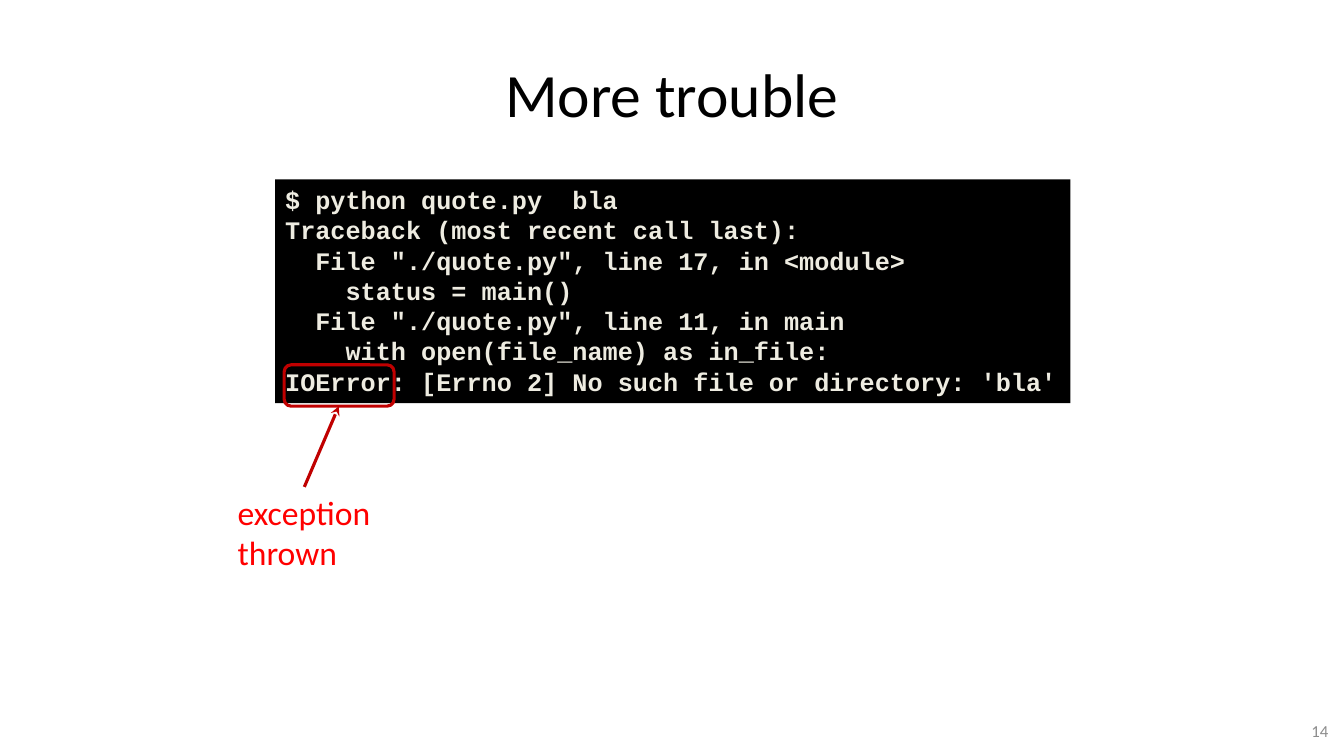
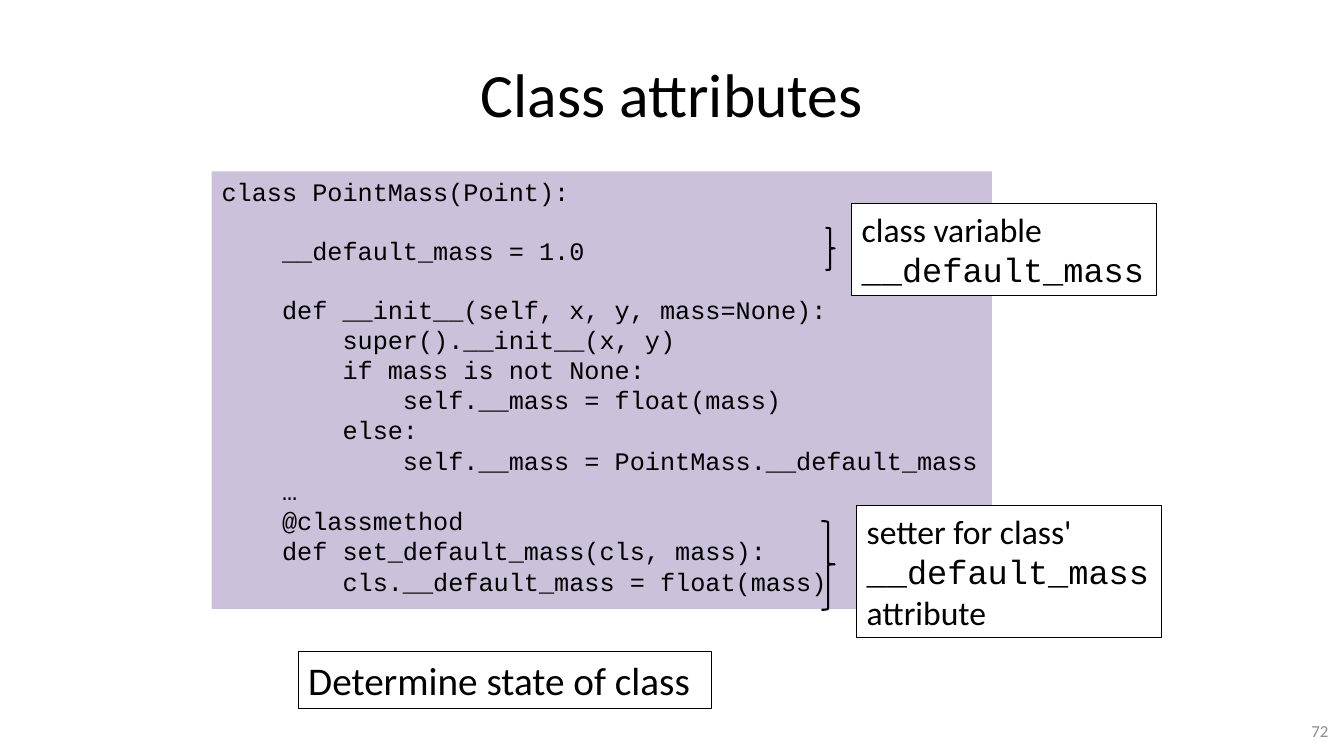
from pptx import Presentation
from pptx.dml.color import RGBColor
from pptx.enum.shapes import MSO_CONNECTOR, MSO_SHAPE as Preset
from pptx.enum.text import MSO_ANCHOR as Anchor, PP_ALIGN as Align
from pptx.oxml.ns import qn
from pptx.util import Pt
from lxml import etree

BLACK = RGBColor(0x00, 0x00, 0x00)
WHITE = RGBColor(0xFF, 0xFF, 0xFF)
CREAM = RGBColor(0xEE, 0xEC, 0xE1)
LILAC = RGBColor(0xCC, 0xC1, 0xDA)
RED = RGBColor(0xFF, 0x00, 0x00)
DARK_RED = RGBColor(0xC0, 0x00, 0x00)
GREY = RGBColor(0x8C, 0x8C, 0x8C)
SANS, MONO = "Calibri", "Courier New"
CODE_SIZE = 18
CHAR_WIDTH = 0.6 * CODE_SIZE
BLANK_LINE = 20.4


def add_panel(page, preset, bounds, fill=None, line=None, weight=0.75):
    panel = page.shapes.add_shape(preset, *map(Pt, bounds))
    panel.shadow.inherit = False
    if fill is None:
        panel.fill.background()
    else:
        panel.fill.solid()
        panel.fill.fore_color.rgb = fill
    if line is None:
        panel.line.fill.background()
    else:
        panel.line.color.rgb = line
        panel.line.width = Pt(weight)
    return panel


def write(box, lines, size, color=BLACK, align=Align.LEFT, anchor=Anchor.TOP, bold=False):
    frame = box.text_frame
    frame.word_wrap = True
    frame.vertical_anchor = anchor
    for index, (text, font, indent, gap) in enumerate(lines):
        para = frame.add_paragraph() if index else frame.paragraphs[0]
        para.alignment = align
        if gap:
            para.space_before = Pt(gap)
        if indent:
            para._p.get_or_add_pPr().set("marL", str(Pt(indent * CHAR_WIDTH)))
        span = para.add_run()
        span.text = text
        span.font.name = font
        span.font.size = Pt(size)
        span.font.bold = bold
        span.font.color.rgb = color


deck = Presentation()
deck.slide_width, deck.slide_height = Pt(960), Pt(540)

pages = []
for heading, number in [("More trouble", "14"), ("Class attributes", "72")]:
    page = deck.slides.add_slide(deck.slide_layouts[5])
    title = page.shapes.title
    title.left, title.top, title.width, title.height = Pt(48), Pt(21.6), Pt(864), Pt(90)
    write(title, [(heading, SANS, 0, 0)], 44, align=Align.CENTER, anchor=Anchor.MIDDLE)
    footer = page.shapes.add_textbox(Pt(732), Pt(507.6), Pt(224), Pt(28.8))
    write(footer, [(number, SANS, 0, 0)], 12, GREY, Align.RIGHT, Anchor.MIDDLE)
    pages.append(page)
trouble, attributes = pages

traceback = [
    ("$ python quote.py  bla", 0),
    ("Traceback (most recent call last):", 0),
    ('File "./quote.py", line 17, in <module>', 2),
    ("status = main()", 4),
    ('File "./quote.py", line 11, in main', 2),
    ("with open(file_name) as in_file:", 4),
    ("IOError: [Errno 2] No such file or directory: 'bla'", 0),
]
terminal = add_panel(trouble, Preset.RECTANGLE, (196.6, 128.2, 568, 159.8), BLACK)
write(terminal, [(text, MONO, indent, 0) for text, indent in traceback],
      CODE_SIZE, CREAM, bold=True)
add_panel(trouble, Preset.ROUNDED_RECTANGLE, (203, 260.6, 78.5, 29.5),
          line=DARK_RED, weight=2.25)
label = trouble.shapes.add_textbox(Pt(162.7), Pt(347.8), Pt(110), Pt(65.5))
write(label, [("exception", SANS, 0, 0), ("thrown", SANS, 0, 0)], 24, RED)
arrow = trouble.shapes.add_connector(
    MSO_CONNECTOR.STRAIGHT, Pt(217.4), Pt(347.8), Pt(242), Pt(290.2))
arrow.line.color.rgb = DARK_RED
arrow.line.width = Pt(2.25)
etree.SubElement(arrow.line._get_or_add_ln(), qn("a:tailEnd"), type="stealth")
etree.SubElement(arrow._element.spPr, qn("a:effectLst"))

class_code = [
    ("class PointMass(Point):", 0, 0),
    ("__default_mass = 1.0", 4, BLANK_LINE),
    ("def __init__(self, x, y, mass=None):", 4, BLANK_LINE),
    ("super().__init__(x, y)", 8, 0),
    ("if mass is not None:", 8, 0),
    ("self.__mass = float(mass)", 12, 0),
    ("else:", 8, 0),
    ("self.__mass = PointMass.__default_mass", 12, 0),
    ("…", 4, 0),
    ("@classmethod", 4, 0),
    ("def set_default_mass(cls, mass):", 4, 0),
    ("cls.__default_mass = float(mass)", 8, 0),
]
listing = add_panel(attributes, Preset.RECTANGLE, (151.2, 122.4, 557.3, 312.5), LILAC)
write(listing, [(text, MONO, indent, gap) for text, indent, gap in class_code], CODE_SIZE)

callouts = [
    ((586.8, 372.2, 9.4, 63.4), (612, 361.4, 217.5, 94.3),
     [("setter for class'", SANS), ("__default_mass", MONO), ("attribute", SANS)]),
    ((589.7, 162.7, 6.5, 30.2), (608.4, 145.4, 217.5, 65.5),
     [("class variable", SANS), ("__default_mass", MONO)]),
]
for brace_bounds, note_bounds, lines in callouts:
    brace = add_panel(attributes, Preset.RIGHT_BRACE, brace_bounds, line=BLACK, weight=1.5)
    brace.adjustments[0], brace.adjustments[1] = 0.083, 0.487
    note = add_panel(attributes, Preset.RECTANGLE, note_bounds, WHITE, BLACK)
    write(note, [(text, font, 0, 0) for text, font in lines], 24)

summary = add_panel(attributes, Preset.RECTANGLE, (213.1, 465.1, 295.2, 41), WHITE, BLACK)
write(summary, [("Determine state of class", SANS, 0, 0)], 28)

deck.save("out.pptx")
